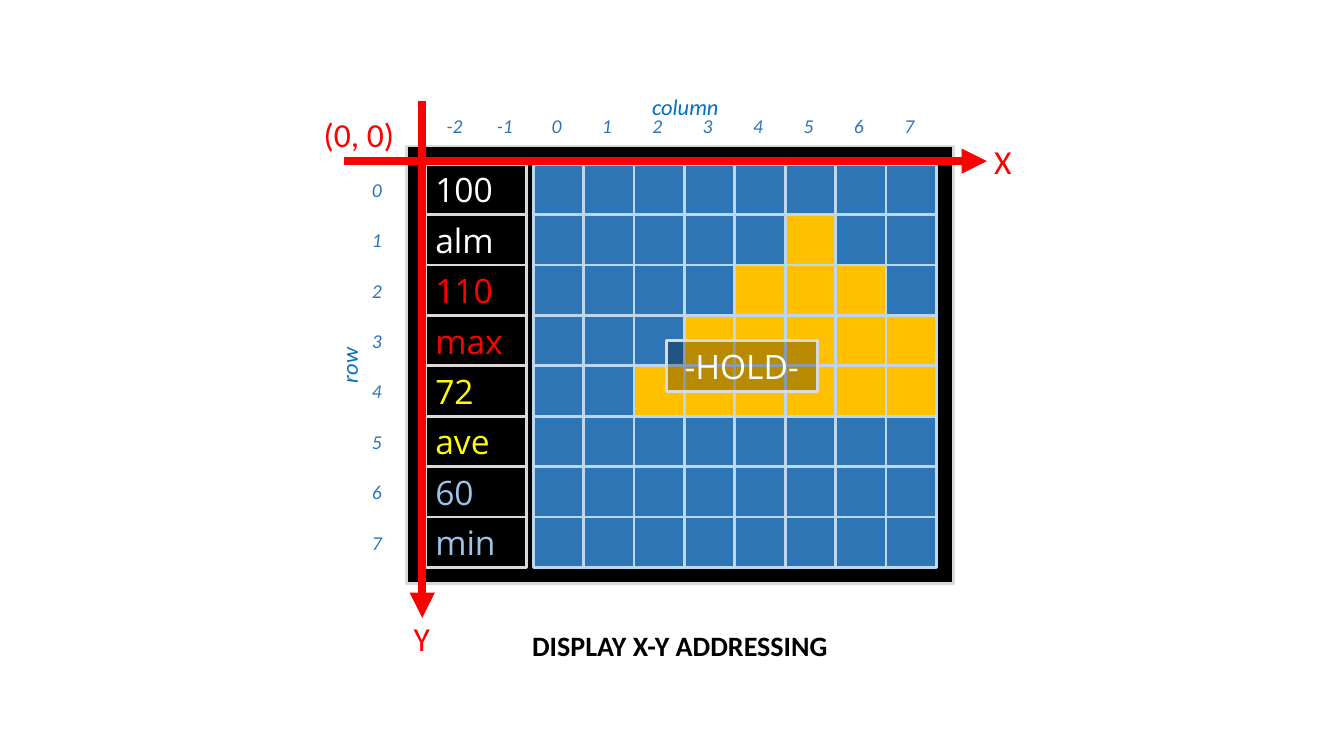
from dataclasses import dataclass

import pptx
import pptx.dml.color
import pptx.enum.shapes
import pptx.enum.text
import pptx.oxml
import pptx.oxml.ns
import pptx.util

Cm = pptx.util.Cm
Pt = pptx.util.Pt
ALIGN = pptx.enum.text.PP_ALIGN
ANCHOR = pptx.enum.text.MSO_ANCHOR

COLORS = {
    "white": "FFFFFF",
    "black": "000000",
    "red": "FF0000",
    "yellow": "FFFF00",
    "pale_blue": "9DC3E6",
    "label_blue": "2E75B6",
    "caption_blue": "0070C0",
    "pixel_off": "2E75B6",
    "pixel_on": "FFC000",
    "grid_line": "BDD7EE",
    "frame_line": "D9D9D9",
}
CELL = 1.27
GRID_SIZE = 8
GRID_LEFT, GRID_TOP = 13.44, 4.14
READOUT_LEFT = 10.72
ROW_LABEL_LEFT, COLUMN_LABEL_TOP = 8.86, 2.54
PEAK_COLUMN, BASE_ROW = 5, 4


@dataclass(frozen=True)
class Label:
    text: str
    size: int
    color: str
    font: str = "Calibri"
    bold: bool = False
    italic: bool = False
    align: ALIGN = ALIGN.CENTER


@dataclass(frozen=True)
class Box:
    left: float
    top: float
    width: float = CELL
    height: float = CELL
    fill: str | None = None
    line: str | None = None
    label: Label | None = None
    opacity: int = 100
    upward: bool = False


@dataclass(frozen=True)
class Axis:
    start: tuple[float, float]
    end: tuple[float, float]


def color(name: str) -> pptx.dml.color.RGBColor:
    return pptx.dml.color.RGBColor.from_string(COLORS[name])


def write_label(text_frame, label: Label, wrap: bool) -> None:
    text_frame.word_wrap = wrap
    text_frame.vertical_anchor = ANCHOR.MIDDLE if wrap else ANCHOR.TOP
    paragraph = text_frame.paragraphs[0]
    paragraph.alignment = label.align
    run = paragraph.add_run()
    run.text = label.text
    run.font.name = label.font
    run.font.size = Pt(label.size)
    run.font.bold = label.bold
    run.font.italic = label.italic
    run.font.color.rgb = color(label.color)


def draw_box(slide, box: Box) -> None:
    shape = slide.shapes.add_shape(
        pptx.enum.shapes.MSO_SHAPE.RECTANGLE,
        Cm(box.left), Cm(box.top), Cm(box.width), Cm(box.height),
    )
    shape.shadow.inherit = False
    shape.fill.solid()
    shape.fill.fore_color.rgb = color(box.fill)
    if box.opacity < 100:
        fill_color = shape.fill._xPr.find(".//" + pptx.oxml.ns.qn("a:srgbClr"))
        alpha = pptx.oxml.parse_xml(
            f'<a:alpha {pptx.oxml.ns.nsdecls("a")} val="{box.opacity * 1000}"/>'
        )
        fill_color.append(alpha)
    if box.line:
        shape.line.color.rgb = color(box.line)
        shape.line.width = Pt(2)
    else:
        shape.line.fill.background()
    if box.label:
        write_label(shape.text_frame, box.label, wrap=True)


def draw_caption(slide, box: Box) -> None:
    caption = slide.shapes.add_textbox(
        Cm(box.left), Cm(box.top), Cm(box.width), Cm(box.height)
    )
    write_label(caption.text_frame, box.label, wrap=False)
    if box.upward:
        caption.text_frame._txBody.bodyPr.set("vert", "vert270")


def draw_axis(slide, axis: Axis) -> None:
    connector = slide.shapes.add_connector(
        pptx.enum.shapes.MSO_CONNECTOR.STRAIGHT,
        *(Cm(length) for length in axis.start + axis.end),
    )
    connector.line.color.rgb = color("red")
    connector.line.width = Pt(6)
    namespace = pptx.oxml.ns.nsdecls("a")
    connector.line._get_or_add_ln().append(
        pptx.oxml.parse_xml(f'<a:tailEnd {namespace} type="triangle"/>')
    )
    connector._element.spPr.append(pptx.oxml.parse_xml(f"<a:effectLst {namespace}/>"))


def index_box(index: int, left: float, top: float) -> Box:
    label = Label(str(index), 14, "label_blue", italic=True)
    return Box(left, top, fill="white", label=label)


def pixel_box(column: int, row: int) -> Box:
    lit = abs(column - PEAK_COLUMN) < row <= BASE_ROW
    return Box(
        GRID_LEFT + column * CELL, GRID_TOP + row * CELL,
        fill="pixel_on" if lit else "pixel_off", line="grid_line",
    )


def readout_box(row: int, text: str, text_color: str) -> Box:
    label = Label(text, 24, text_color, "Open Sans", align=ALIGN.LEFT)
    return Box(
        READOUT_LEFT, GRID_TOP + row * CELL, 2 * CELL,
        fill="black", line="frame_line", label=label,
    )


READOUTS = [
    ("100", "white"), ("alm", "white"),
    ("110", "red"), ("max", "red"),
    ("72", "yellow"), ("ave", "yellow"),
    ("60", "pale_blue"), ("min", "pale_blue"),
]
CAPTIONS = [
    Box(16.15, 2.21, 2.24, 0.94, label=Label("column", 16, "caption_blue", italic=True)),
    Box(8.33, 8.64, 1.19, 1.14, upward=True,
        label=Label("row", 16, "caption_blue", italic=True)),
    Box(13.16, 15.72, 8.08, 1.12,
        label=Label("DISPLAY X-Y ADDRESSING", 20, "black", bold=True, align=ALIGN.LEFT)),
]
PANEL = Box(10.24, 3.68, 13.79, 11.02, fill="black", line="frame_line")
HOLD = Box(16.79, 8.59, 3 * CELL, fill="black", line="frame_line", opacity=28,
           label=Label("-HOLD-", 24, "white", "Open Sans"))
AXES = [Axis((8.66, 4.06), (24.87, 4.06)), Axis((10.64, 2.54), (10.64, 15.57))]
AXIS_CAPTIONS = [
    Box(24.79, 3.43, 0.97, label=Label("X", 24, "red")),
    Box(10.16, 15.44, 0.94, label=Label("Y", 24, "red")),
    Box(7.9, 2.74, 2.29, label=Label("(0, 0)", 24, "red")),
]

presentation = pptx.Presentation()
presentation.slide_width = Cm(33.87)
presentation.slide_height = Cm(19.05)
slide = presentation.slides.add_slide(presentation.slide_layouts[6])

for column in range(-2, GRID_SIZE):
    first_left = 13.36 if column < 0 else 13.39
    draw_box(slide, index_box(column, first_left + column * CELL, COLUMN_LABEL_TOP))
for row in range(GRID_SIZE):
    draw_box(slide, index_box(row, ROW_LABEL_LEFT, GRID_TOP + row * CELL))
for caption in CAPTIONS:
    draw_caption(slide, caption)
draw_box(slide, PANEL)
for column in range(GRID_SIZE):
    for row in range(GRID_SIZE):
        draw_box(slide, pixel_box(column, row))
for row, (text, text_color) in enumerate(READOUTS):
    draw_box(slide, readout_box(row, text, text_color))
draw_box(slide, HOLD)
for axis in AXES:
    draw_axis(slide, axis)
for caption in AXIS_CAPTIONS:
    draw_caption(slide, caption)

presentation.save("out.pptx")
